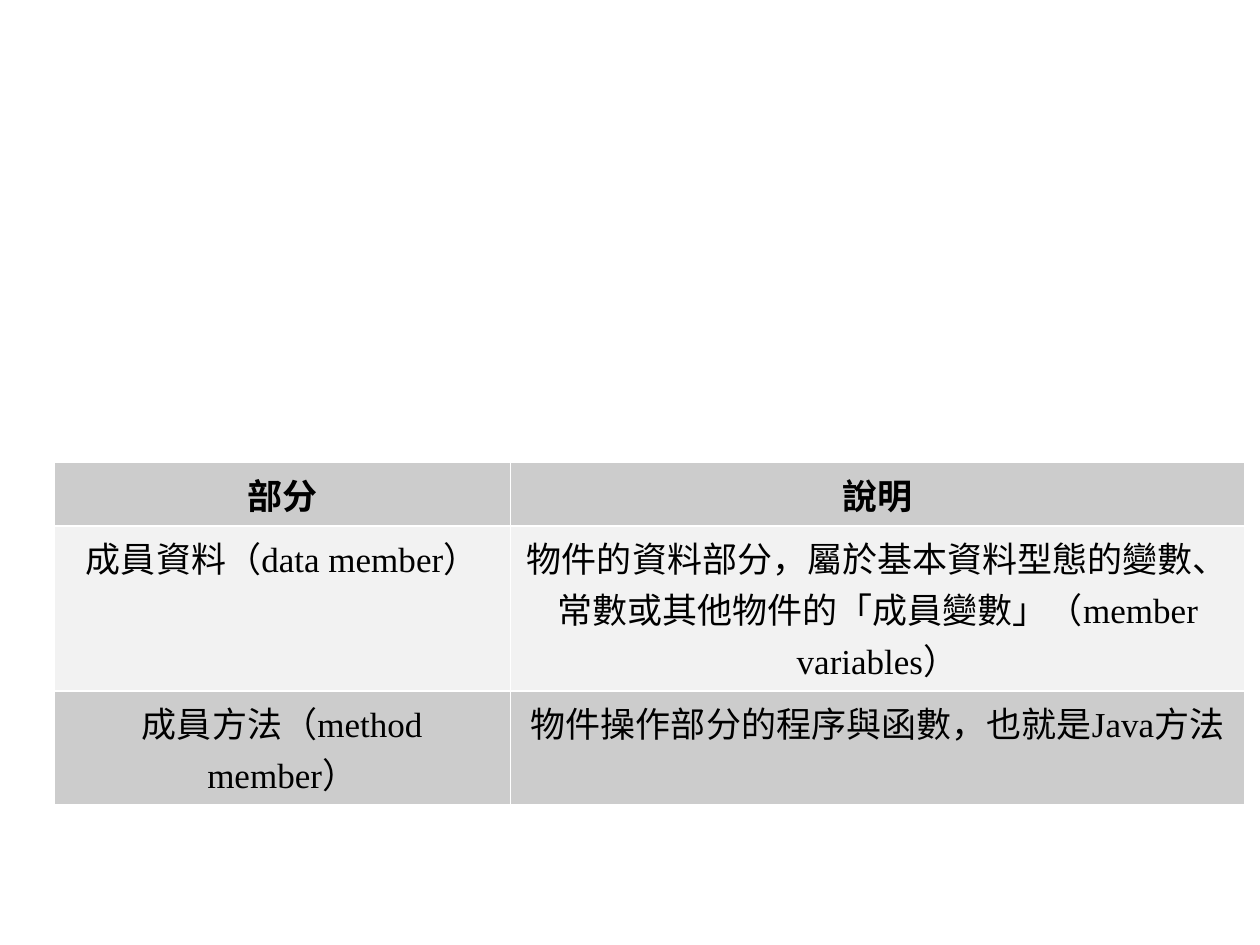
from lxml import etree
from pptx import Presentation
from pptx.dml.color import RGBColor
from pptx.enum.text import PP_ALIGN
from pptx.oxml.ns import qn
from pptx.util import Inches, Pt

CENTER = PP_ALIGN.CENTER
BLACK = RGBColor(0x00, 0x00, 0x00)
WHITE = RGBColor(0xFF, 0xFF, 0xFF)
GRAY = RGBColor(0xCC, 0xCC, 0xCC)
PALE = RGBColor(0xF2, 0xF2, 0xF2)

ROWS = [
    ("部分", "說明"),
    ("成員資料（data member）",
     "物件的資料部分，屬於基本資料型態的變數、常數或其他物件的「成員變數」（member variables）"),
    ("成員方法（method member）", "物件操作部分的程序與函數，也就是Java方法"),
]
WIDTHS = [3.62, 5.83]
HEIGHTS = [0.44, 1.1, 0.77]


def put_text(cell, text, size=20, bold=False, color=BLACK, align=CENTER):
    para = cell.text_frame.paragraphs[0]
    para.alignment = align
    run = para.add_run()
    run.text = text
    run.font.name = "Times New Roman"
    run.font.size = Pt(size)
    run.font.bold = bold
    run.font.color.rgb = color


def add_line(cell, side):
    line = etree.SubElement(cell._tc.get_or_add_tcPr(), qn("a:ln" + side),
                            w=str(Pt(0.96)))
    fill = etree.SubElement(line, qn("a:solidFill"))
    etree.SubElement(fill, qn("a:srgbClr"), val=str(WHITE))


prs = Presentation()
prs.slide_width = Inches(10)
prs.slide_height = Inches(7.5)
slide = prs.slides.add_slide(prs.slide_layouts[6])

# Table of class members
table = slide.shapes.add_table(
    len(ROWS), len(WIDTHS), Inches(0.43), Inches(3.67),
    Inches(sum(WIDTHS)), Inches(sum(HEIGHTS))).table
table.first_row = False
table.horz_banding = False
for col, width in zip(table.columns, WIDTHS):
    col.width = Inches(width)
for row, height in zip(table.rows, HEIGHTS):
    row.height = Inches(height)

# Cells, with white lines on the inner sides only
for r, texts in enumerate(ROWS):
    for c, text in enumerate(texts):
        cell = table.cell(r, c)
        inner = {"L": c > 0, "R": c < len(texts) - 1,
                 "T": r > 0, "B": r < len(ROWS) - 1}
        for side, shown in inner.items():
            if shown:
                add_line(cell, side)
        cell.fill.solid()
        cell.fill.fore_color.rgb = PALE if r % 2 else GRAY
        put_text(cell, text, bold=r == 0)

prs.save("out.pptx")
